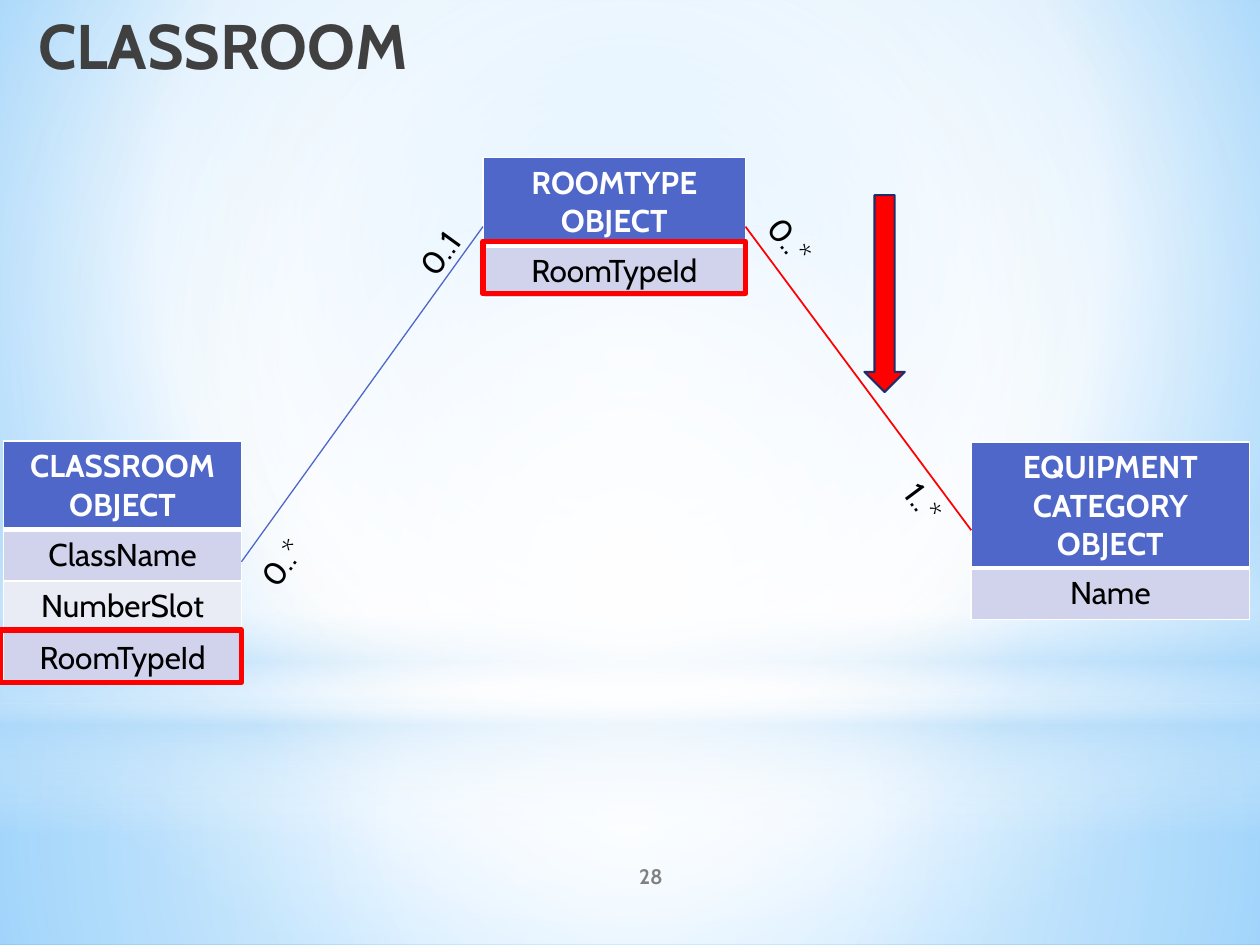
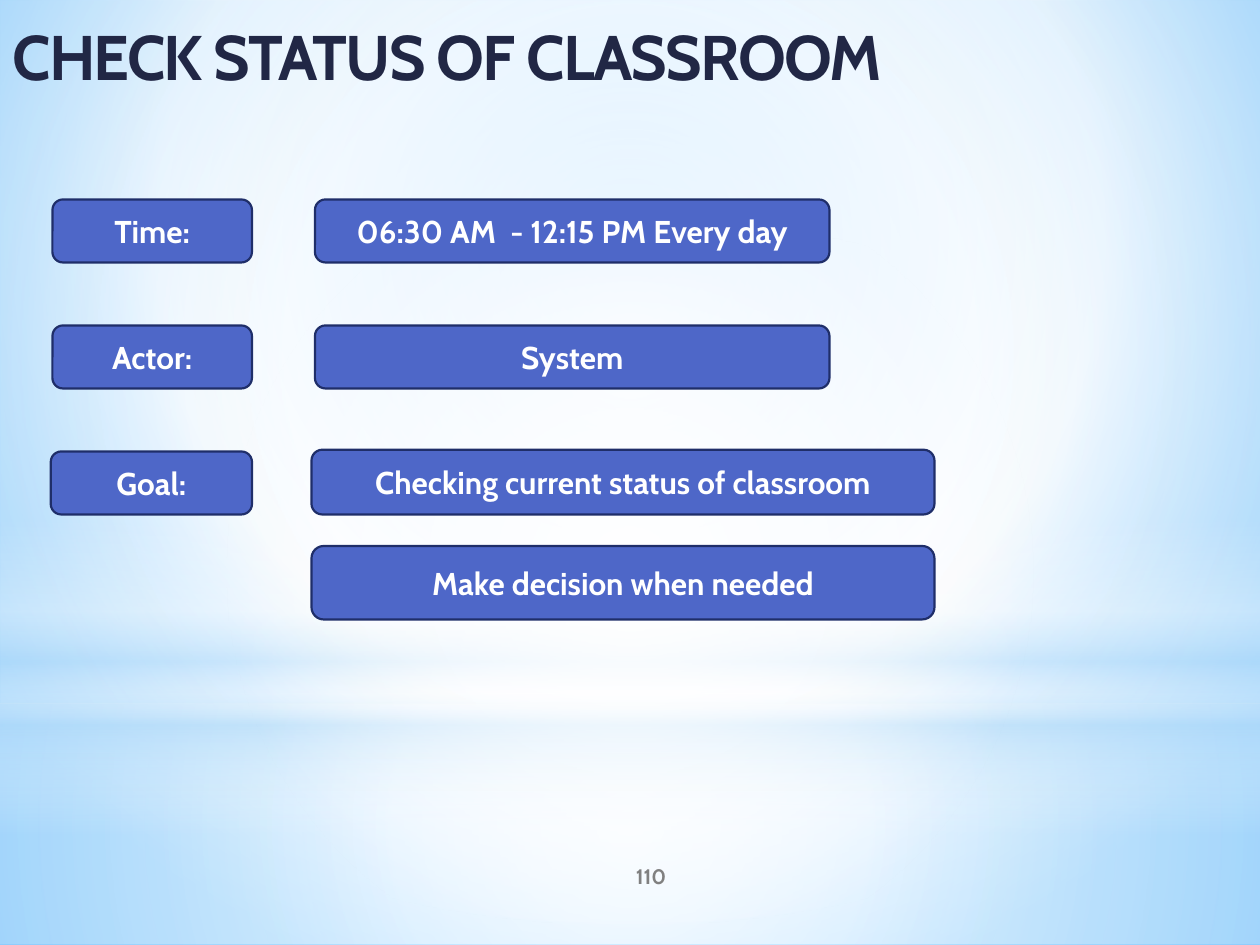
import pptx
import pptx.dml.color
import pptx.enum.shapes
import pptx.enum.text
import pptx.oxml
import pptx.oxml.ns
import pptx.util

Pt = pptx.util.Pt
SHAPE = pptx.enum.shapes.MSO_SHAPE
ALIGN = pptx.enum.text.PP_ALIGN
ANCHOR = pptx.enum.text.MSO_ANCHOR
qn = pptx.oxml.ns.qn

FONT = "Cabin"
WHITE, BLACK, RED = "FFFFFF", "000000", "FF0000"
BLUE, NAVY, INK = "4E67C8", "1F2E69", "212745"
GREY, CHARCOAL, SKY = "808080", "404040", "B4DCFA"
BANDS = ["D0D3EB", "E9EBF5"]
ROW = 29.5
CENTRE = (50, 50, 50, 50)
BACKGROUND = [(0, "9ED5FF", 100), (60, WHITE, 100), (100, "5BB9FF", 100)]
GLOWS = [
    (SHAPE.RECTANGLE, (0, 402, 720, 138), CENTRE,
     [(0, WHITE, 91), (37, WHITE, 76), (100, SKY, 79)]),
    (SHAPE.RECTANGLE, (0, 0, 720, 402), CENTRE,
     [(0, WHITE, 89), (48, WHITE, 62), (100, SKY, 79)]),
    (SHAPE.RECTANGLE, (0, 297, 720, 180), None,
     [(0, WHITE, 0), (29, WHITE, 30), (45, SKY, 40),
      (55, WHITE, 26), (65, SKY, 60), (100, WHITE, 0)]),
    (SHAPE.OVAL, (0, 126, 720, 402), CENTRE,
     [(0, WHITE, 100), (56, WHITE, 0)]),
]


def rgb(value):
    return pptx.dml.color.RGBColor.from_string(value)


def xml(tag, body):
    ns = pptx.oxml.ns.nsdecls("a")
    return pptx.oxml.parse_xml(f"<a:{tag} {ns}{body}</a:{tag.split()[0]}>")


def set_gradient(element, fill, stops, focus):
    fill.gradient()
    gs = "".join(
        f'<a:gs pos="{pos * 1000}"><a:srgbClr val="{color}">'
        f'<a:alpha val="{alpha * 1000}"/></a:srgbClr></a:gs>'
        for pos, color, alpha in stops)
    direction = '<a:lin ang="5400000" scaled="0"/>'
    if focus:
        sides = " ".join(f'{k}="{v * 1000}"' for k, v in zip("ltrb", focus))
        direction = f'<a:path path="circle"><a:fillToRect {sides}/></a:path>'
    old = next(element.iter(qn("a:gradFill")))
    new = xml("gradFill", f' rotWithShape="1"><a:gsLst>{gs}</a:gsLst>{direction}')
    old.getparent().replace(old, new)


class Deck:
    def __init__(self):
        self.prs = pptx.Presentation()
        self.prs.slide_width, self.prs.slide_height = Pt(720), Pt(540)
        self.slide = None

    def new_slide(self, number):
        self.slide = self.prs.slides.add_slide(self.prs.slide_layouts[6])
        set_gradient(self.slide.element, self.slide.background.fill,
                     BACKGROUND, (20, 10, 20, 60))
        for kind, box, focus, stops in GLOWS:
            s = self.shape(kind, box)
            set_gradient(s.element, s.fill, stops, focus)
        self.text(str(number), (300, 486, 144, 29), anchor=ANCHOR.MIDDLE,
                  align=ALIGN.CENTER, size=12, color=GREY, bold=True)

    def put_run(self, tf, text, align=ALIGN.LEFT, size=18, color=BLACK, bold=False):
        p = tf.paragraphs[0]
        p.alignment = align
        r = p.add_run()
        r.text = text
        for name, value in {"name": FONT, "size": Pt(size), "bold": bold}.items():
            setattr(r.font, name, value)
        r.font.color.rgb = rgb(color)

    def text(self, text, box, anchor=ANCHOR.TOP, wrap=True, spacing=0, **style):
        s = self.slide.shapes.add_textbox(*map(Pt, box))
        tf = s.text_frame
        for name, value in {"word_wrap": wrap, "vertical_anchor": anchor}.items():
            setattr(tf, name, value)
        self.put_run(tf, text, **style)
        if spacing:
            next(s.element.iter(qn("a:rPr"))).set("spc", str(spacing * 100))
        return s

    def title(self, text, width, **style):
        self.text(text, (0, 0, width, 63), size=36, bold=True, **style)

    def multiplicity(self, text, box, rotation):
        s = self.text(text, box, wrap=False)
        s.text_frame.auto_size = pptx.enum.text.MSO_AUTO_SIZE.SHAPE_TO_FIT_TEXT
        s.rotation = rotation

    def shape(self, kind, box, fill=None, line=None, width=1.25):
        s = self.slide.shapes.add_shape(kind, *map(Pt, box))
        s.shadow.inherit = False
        if fill:
            s.fill.solid()
            s.fill.fore_color.rgb = rgb(fill)
        else:
            s.fill.background()
        if line:
            s.line.color.rgb = rgb(line)
            s.line.width = Pt(width)
        else:
            s.line.fill.background()
        return s

    def card(self, text, box):
        s = self.shape(SHAPE.ROUNDED_RECTANGLE, box, BLUE, NAVY)
        s.text_frame.vertical_anchor = ANCHOR.MIDDLE
        self.put_run(s.text_frame, text, ALIGN.CENTER, color=WHITE, bold=True)

    def line(self, start, end, color, width):
        s = self.slide.shapes.add_connector(
            pptx.enum.shapes.MSO_CONNECTOR.STRAIGHT, *map(Pt, start + end))
        s.line.color.rgb = rgb(color)
        s.line.width = Pt(width)
        s.element.spPr.append(xml("effectLst", ">"))

    def entity(self, box, name, fields):
        rows = [name] + fields
        frame = self.slide.shapes.add_table(len(rows), 1, *map(Pt, box))
        table = frame.table
        for i, text in enumerate(rows):
            header = i == 0
            height = box[3] - ROW * len(fields) if header else ROW
            table.rows[i].height = Pt(height)
            cell = table.cell(i, 0)
            cell.fill.solid()
            cell.fill.fore_color.rgb = rgb(BLUE if header else BANDS[(i - 1) % 2])
            self.put_run(cell.text_frame, text, ALIGN.CENTER,
                         color=WHITE if header else BLACK, bold=header)
        for i, tc in enumerate(frame.element.iter(qn("a:tcPr"))):
            for j, side in enumerate("LRTB"):
                width = Pt(3 if i == 0 and side == "B" else 1)
                tc.insert(j, xml(
                    f"ln{side}", f' w="{width}"><a:solidFill>'
                    f'<a:srgbClr val="{WHITE}"/></a:solidFill>'))


def classroom_slide(deck):
    deck.new_slide(28)
    deck.entity((276, 90, 150, 80), "ROOMTYPE OBJECT", ["RoomTypeId"])
    deck.entity((2, 252, 136, 138), "CLASSROOM OBJECT",
                ["ClassName", "NumberSlot", "RoomTypeId"])
    deck.line((138, 321), (276, 129.5), BLUE, 0.75)
    deck.entity((555, 252.5, 159, 101.5), "EQUIPMENT CATEGORY OBJECT", ["Name"])
    deck.line((426, 129.5), (555, 303), RED, 1)
    deck.title("CLASSROOM", 240, align=ALIGN.RIGHT, color=CHARCOAL)
    for box in [(276, 138, 150, 30), (0, 360, 138, 30)]:
        deck.shape(SHAPE.RECTANGLE, box, line=RED, width=3)
    for text, box, rotation in [
        ("0..*", (140.5, 307, 42, 29), 306.9),
        ("0..1", (231, 129.5, 42, 29), 305.9),
        ("0..*", (430.5, 123, 42.5, 29), 50.7),
        ("1..*", (508.5, 276, 44, 29), 53.2),
    ]:
        deck.multiplicity(text, box, rotation)
    deck.shape(SHAPE.DOWN_ARROW, (494, 111.5, 23, 112.5), RED, NAVY)


def status_slide(deck):
    deck.new_slide(110)
    deck.title("CHECK STATUS OF CLASSROOM", 516, anchor=ANCHOR.MIDDLE,
               color=INK, spacing=-1)
    facts = [("Time:", "06:30 AM  - 12:15 PM Every day"), ("Actor:", "System")]
    for i, (label, value) in enumerate(facts):
        top = 114 + 72 * i
        deck.card(label, (30, top, 114, 36))
        deck.card(value, (180, top, 294, 36))
    deck.card("Goal:", (29, 258, 115, 36))
    deck.card("Checking current status of classroom", (178, 257, 356, 37))
    deck.card("Make decision when needed", (178, 312, 356, 42))


def main():
    deck = Deck()
    classroom_slide(deck)
    status_slide(deck)
    deck.prs.save("out.pptx")


if __name__ == "__main__":
    main()
